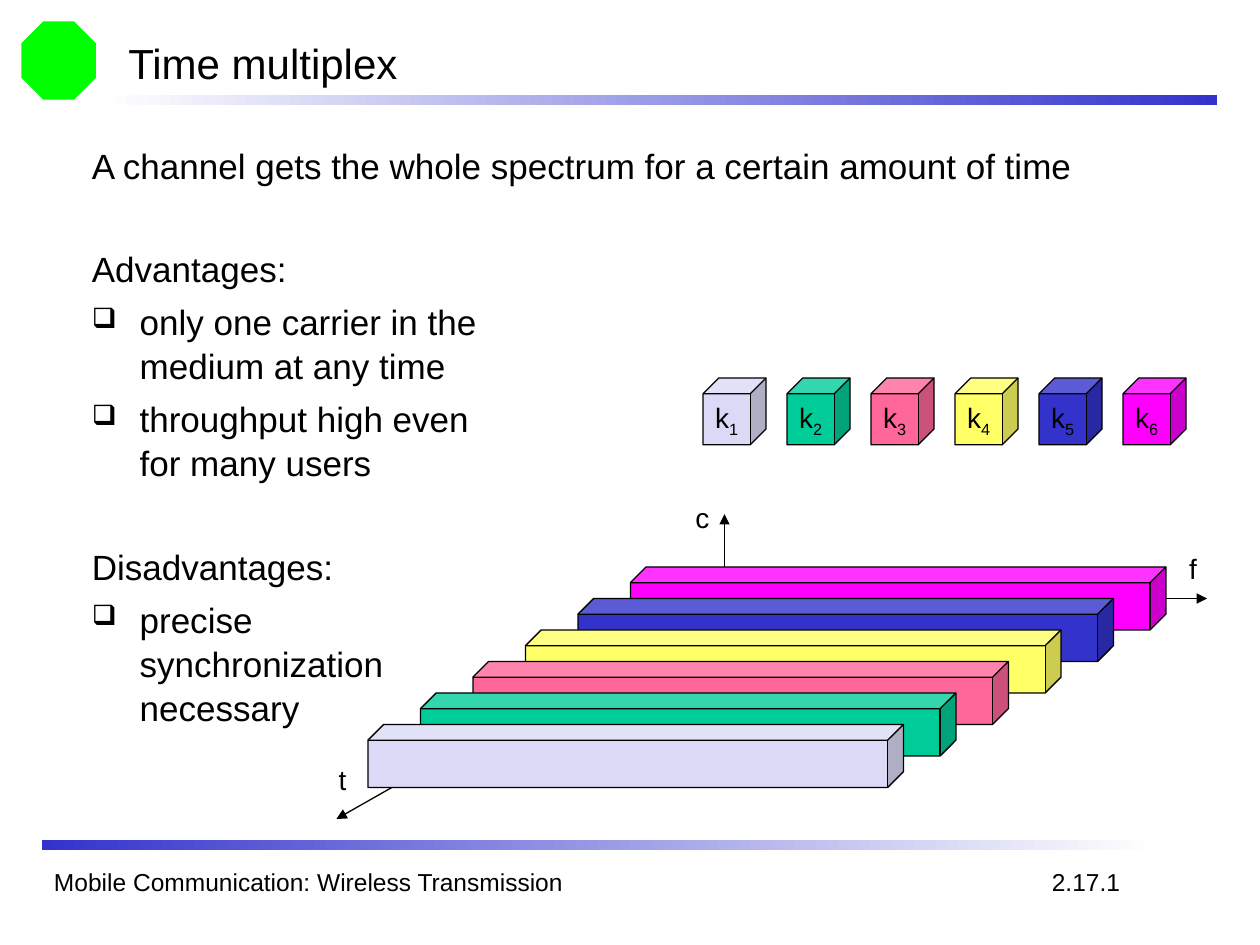
from lxml import etree
from pptx import Presentation
from pptx.dml.color import RGBColor
from pptx.enum.shapes import MSO_CONNECTOR, MSO_SHAPE
from pptx.enum.text import MSO_ANCHOR, PP_ALIGN
from pptx.oxml.ns import qn
from pptx.util import Inches, Pt

RECT, CUBE, OCT = MSO_SHAPE.RECTANGLE, MSO_SHAPE.CUBE, MSO_SHAPE.OCTAGON
LINE = MSO_CONNECTOR.STRAIGHT
TOP, MID = MSO_ANCHOR.TOP, MSO_ANCHOR.MIDDLE
CENTER = PP_ALIGN.CENTER

BLACK = RGBColor(0x00, 0x00, 0x00)
WHITE = RGBColor(0xFF, 0xFF, 0xFF)
GREEN = RGBColor(0x00, 0xFF, 0x00)
BLUE = RGBColor(0x33, 0x33, 0xCC)
LILAC = RGBColor(0xDA, 0xDA, 0xF6)
TEAL = RGBColor(0x00, 0xCC, 0x99)
PINK = RGBColor(0xFF, 0x66, 0x99)
YELLOW = RGBColor(0xFF, 0xFF, 0x66)
PURPLE = RGBColor(0xFF, 0x00, 0xFF)

USERS = [LILAC, TEAL, PINK, YELLOW, BLUE, PURPLE]
RULES = [
    ((0.83, 0.75, 8.83, 0.08), (WHITE, BLUE)),
    ((0.33, 6.67, 8.83, 0.08), (BLUE, WHITE)),
]
ORIGIN = (5.75, 4.75)
TIPS = [(2.67, 6.5), (5.75, 4.08), (9.58, 4.75)]
LABELS = [
    ("Time multiplex", (0.92, 0.25, 8.5, 0.5), 24, True, MID),
    ("f", (9.34, 4.33, 0.26, 0.37), 16, False, TOP),
    ("t", (2.59, 6, 0.26, 0.37), 16, False, TOP),
    ("c", (5.42, 3.92, 0.31, 0.37), 16, False, TOP),
    ("Mobile Communication: Wireless Transmission",
     (0.33, 6.83, 4.92, 0.33), 14, True, TOP),
    ("2.17.1", (8.25, 6.83, 0.74, 0.34), 14, False, TOP),
]
HEAD, ITEM = "head", "item"
BODY = [
    (HEAD, "A channel gets the whole spectrum for a certain amount of time"),
    (HEAD, "Advantages:"),
    (ITEM, "only one carrier in the\nmedium at any time"),
    (ITEM, "throughput high even\nfor many users"),
    (HEAD, "Disadvantages:"),
    (ITEM, "precise\nsynchronization\nnecessary"),
]
SPACE = {HEAD: Pt(34), ITEM: Pt(5)}


def inches(box):
    return [Inches(v) for v in box]


def style(para, size):
    look = {"name": "Arial", "size": Pt(size)}
    for run in para.runs:
        for key, value in look.items():
            setattr(run.font, key, value)
        run.font.color.rgb = BLACK


def add_text(slide, box, wrap=True, anchor=TOP):
    frame = slide.shapes.add_textbox(*inches(box)).text_frame
    look = {"word_wrap": wrap, "vertical_anchor": anchor}
    for key, value in look.items():
        setattr(frame, key, value)
    return frame


def add_shape(slide, kind, box, fill=None, edge=None):
    shape = slide.shapes.add_shape(kind, *inches(box))
    shape.shadow.inherit = False
    if fill is not None:
        shape.fill.solid()
        shape.fill.fore_color.rgb = fill
    if edge is None:
        shape.line.fill.background()
    else:
        shape.line.color.rgb = edge
        shape.line.width = Pt(0.75)
    return shape


def add_rule(slide, box, ends):
    rule = add_shape(slide, RECT, box)
    rule.fill.gradient()
    rule.fill.gradient_angle = 0
    for stop, color in zip(rule.fill.gradient_stops, ends):
        stop.color.rgb = color


def add_axis(slide, tip):
    axis = slide.shapes.add_connector(LINE, *inches(ORIGIN + tip))
    axis.line.color.rgb = BLACK
    axis.line.width = Pt(0.75)
    edge = axis.line._get_or_add_ln()
    etree.SubElement(edge, qn("a:tailEnd"), type="triangle")
    etree.SubElement(axis._element.spPr, qn("a:effectLst"))


def add_user(slide, num, color):
    box = (5.58 + num * 2 / 3, 3, 0.5, 0.53)
    frame = add_shape(slide, CUBE, box, color, BLACK).text_frame
    frame.word_wrap = False
    frame.vertical_anchor = MID
    para = frame.paragraphs[0]
    para.alignment = CENTER
    para.add_run().text = "k"
    sub = para.add_run()
    sub.text = str(num + 1)
    style(para, 16)
    sub._r.get_or_add_rPr().set("baseline", "-25000")


def add_bullet(para):
    props = para._p.get_or_add_pPr()
    props.set("marL", str(Inches(0.38)))
    props.set("indent", str(Inches(-0.38)))
    tint = etree.SubElement(props, qn("a:buClr"))
    etree.SubElement(tint, qn("a:srgbClr"), val=str(BLACK))
    etree.SubElement(props, qn("a:buSzPct"), val="80000")
    etree.SubElement(props, qn("a:buChar"), char="❑")


def add_body(slide):
    frame = add_text(slide, (0.63, 1.08, 8.79, 5.58))
    for num, (kind, text) in enumerate(BODY):
        para = frame.add_paragraph() if num else frame.paragraphs[0]
        para.text = text
        para.line_spacing = 1.05
        para.space_before = SPACE[kind] if num else Pt(0)
        style(para, 20)
        if kind == ITEM:
            add_bullet(para)


def main():
    deck = Presentation()
    deck.slide_width, deck.slide_height = Inches(10), Inches(7.5)
    slide = deck.slides.add_slide(deck.slide_layouts[6])
    add_shape(slide, OCT, (0.17, 0.17, 0.59, 0.62), GREEN)
    for box, ends in RULES:
        add_rule(slide, box, ends)
    for tip in TIPS:
        add_axis(slide, tip)
    for num, color in reversed(list(enumerate(USERS))):
        box = (2.92 + num * 5 / 12, 5.75 - num / 4, 4.25, 0.5)
        add_shape(slide, CUBE, box, color, BLACK)
    for num, color in enumerate(USERS):
        add_user(slide, num, color)
    for text, box, size, wrap, anchor in LABELS:
        para = add_text(slide, box, wrap, anchor).paragraphs[0]
        para.text = text
        style(para, size)
    add_body(slide)
    deck.save("out.pptx")


if __name__ == "__main__":
    main()
